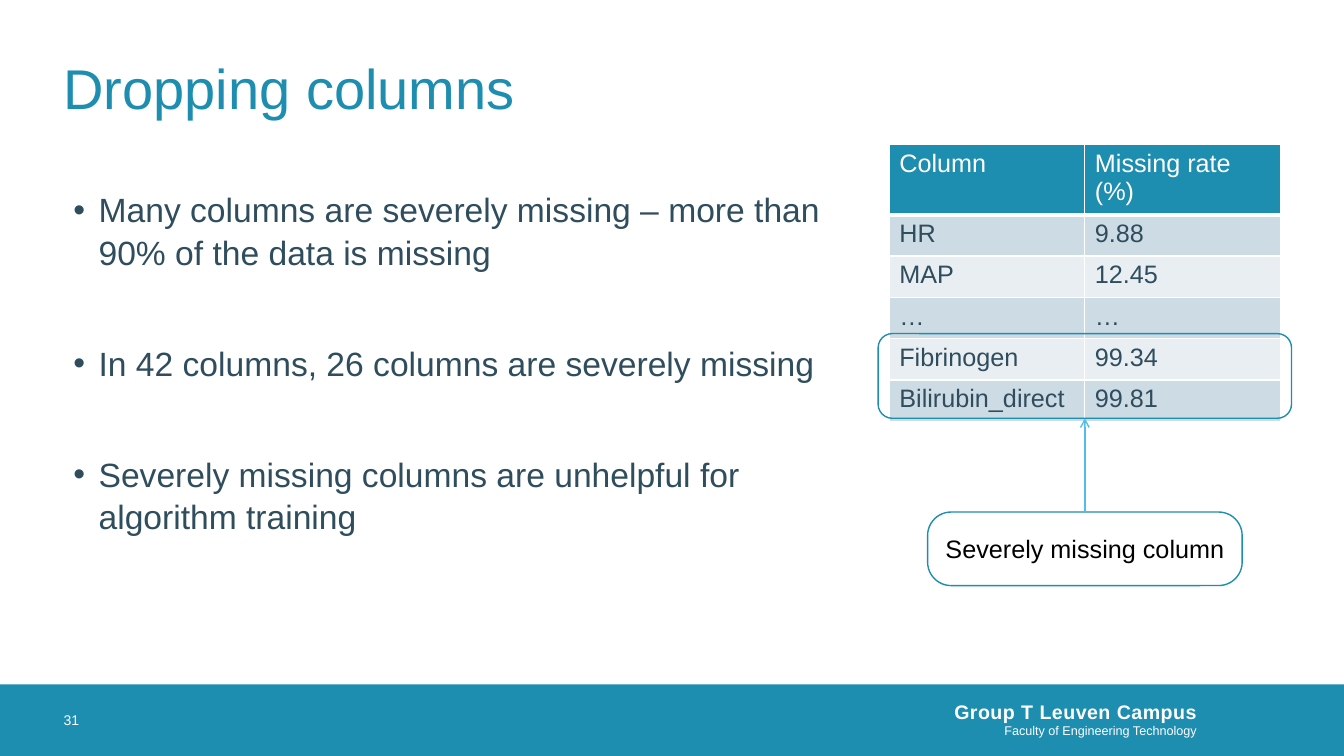
from pptx import Presentation
from pptx.util import Inches, Pt
from pptx.dml.color import RGBColor
from pptx.enum.shapes import MSO_SHAPE, MSO_CONNECTOR
from pptx.enum.text import PP_ALIGN, MSO_ANCHOR
from pptx.oxml import parse_xml
from pptx.oxml.ns import nsdecls

TEAL, DARK, WHITE = "1D8DB0", "2F4D5D", "FFFFFF"
BANDS = ["CDDBE4", "E8EEF2"]
TITLE = "Dropping columns"
POINTS = [
    "Many columns are severely missing – more than 90% of the data is missing",
    "In 42 columns, 26 columns are severely missing",
    "Severely missing columns are unhelpful for algorithm training",
]
ROWS = [
    ("Column", "Missing rate (%)"),
    ("HR", "9.88"),
    ("MAP", "12.45"),
    ("…", "…"),
    ("Fibrinogen", "99.34"),
    ("Bilirubin_direct", "99.81"),
]
LABEL = "Severely missing column"
CAMPUS = [("Group T Leuven Campus", 14, True), ("Faculty of Engineering Technology", 9, False)]
NUMBER = "31"


def color(code):
    return RGBColor.from_string(code)


def style(par, size, code, bold=False):
    for run in par.runs:
        font = run.font
        font.name, font.size, font.bold = "Arial", Pt(size), bold
        font.color.rgb = color(code)


def place(shape, box):
    shape.left, shape.top, shape.width, shape.height = map(Inches, box)


def frame(shape, pads=(0, 0, 0, 0), anchor=MSO_ANCHOR.MIDDLE):
    text = shape.text_frame
    text.word_wrap = True
    text.vertical_anchor = anchor
    text.margin_left, text.margin_top, text.margin_right, text.margin_bottom = map(Inches, pads)
    return text


def add_text(slide, box, *args):
    return frame(slide.shapes.add_textbox(*map(Inches, box)), *args)


def add_box(slide, kind, box, fill=None, line=None):
    shape = slide.shapes.add_shape(kind, *map(Inches, box))
    shape.shadow.inherit = False
    if fill:
        shape.fill.solid()
        shape.fill.fore_color.rgb = color(fill)
    else:
        shape.fill.background()
    if line:
        shape.line.color.rgb = color(line)
        shape.line.width = Pt(1)
    else:
        shape.line.fill.background()
    return shape


def add_edges(cell, top, bottom):
    props = cell._tc.get_or_add_tcPr()
    for side, width in (("L", 1), ("R", 1), ("T", top), ("B", bottom)):
        props.append(parse_xml(
            f'<a:ln{side} {nsdecls("a")} w="{Pt(width)}"><a:solidFill>'
            f'<a:srgbClr val="{WHITE}"/></a:solidFill></a:ln{side}>'))


def add_footer(slide):
    add_box(slide, MSO_SHAPE.RECTANGLE, (0, 6.79, 13.33, 0.71), TEAL)
    text = add_text(slide, (5.71, 6.77, 6.36, 0.73), (0, 0, 0.2, 0))
    text.text = "\n".join(line for line, _, _ in CAMPUS)
    for par, (_, size, bold) in zip(text.paragraphs, CAMPUS):
        par.alignment = PP_ALIGN.RIGHT
        style(par, size, WHITE, bold)
    text.paragraphs[0].runs[0].font._element.set("spc", "30")
    text = add_text(slide, (0.63, 6.79, 0.71, 0.71))
    text.text = NUMBER
    style(text.paragraphs[0], 10, WHITE)


def add_points(slide):
    text = add_text(slide, (0.63, 1.81, 8.19, 4.88), (0.1, 0.05, 0.1, 0.05), MSO_ANCHOR.TOP)
    text.text = "\n".join(POINTS)
    for i, par in enumerate(text.paragraphs):
        props = par._p.get_or_add_pPr()
        props.set("marL", str(Inches(0.25)))
        props.set("indent", str(-Inches(0.25)))
        props.append(parse_xml(f'<a:buFont {nsdecls("a")} typeface="Arial"/>'))
        props.append(parse_xml(f'<a:buChar {nsdecls("a")} char="•"/>'))
        par.line_spacing = 1.05
        par.space_before = Pt(49 if i else 0)
        style(par, 24, DARK)


def add_rates(slide):
    box = map(Inches, (8.82, 1.43, 3.88, 2.73))
    table = slide.shapes.add_table(len(ROWS), 2, *box).table
    for col in table.columns:
        col.width = Inches(1.94)
    for i, row in enumerate(ROWS):
        table.rows[i].height = Inches(0.41 if i else 0.68)
        for j, value in enumerate(row):
            cell = table.cell(i, j)
            cell.text = value
            style(cell.text_frame.paragraphs[0], 18, DARK if i else WHITE)
            add_edges(cell, 3 if i == 1 else 1, 1 if i else 3)
            cell.fill.solid()
            cell.fill.fore_color.rgb = color(BANDS[(i - 1) % 2] if i else TEAL)


def add_callout(slide):
    label = add_box(slide, MSO_SHAPE.ROUNDED_RECTANGLE, (9.2, 5.08, 3.12, 0.73), WHITE, TEAL)
    label.adjustments[0] = 0.32
    text = frame(label, (0.1, 0.05, 0.1, 0.05))
    text.text = LABEL
    text.paragraphs[0].alignment = PP_ALIGN.CENTER
    style(text.paragraphs[0], 18, "000000")
    ring = add_box(slide, MSO_SHAPE.ROUNDED_RECTANGLE, (8.71, 3.31, 4.1, 0.84), None, TEAL)
    arrow = slide.shapes.add_connector(MSO_CONNECTOR.STRAIGHT, 0, 0, 0, 0)
    arrow.begin_connect(label, 0)
    arrow.end_connect(ring, 2)
    arrow.line.color.rgb = color("52BDEC")
    arrow.line.width = Pt(1)
    arrow.line._get_or_add_ln().append(parse_xml(f'<a:tailEnd {nsdecls("a")} type="arrow"/>'))
    arrow._element.spPr.append(parse_xml(f'<a:effectLst {nsdecls("a")}/>'))


def main():
    deck = Presentation()
    deck.slide_width, deck.slide_height = Inches(13.33), Inches(7.5)
    slide = deck.slides.add_slide(deck.slide_layouts[5])
    title = slide.shapes.title
    place(title, (0.63, 0.23, 12.07, 1.26))
    text = frame(title)
    text.text = TITLE
    text.paragraphs[0].alignment = PP_ALIGN.LEFT
    style(text.paragraphs[0], 40, TEAL)
    add_footer(slide)
    add_points(slide)
    add_rates(slide)
    add_callout(slide)
    deck.save("out.pptx")


if __name__ == "__main__":
    main()
